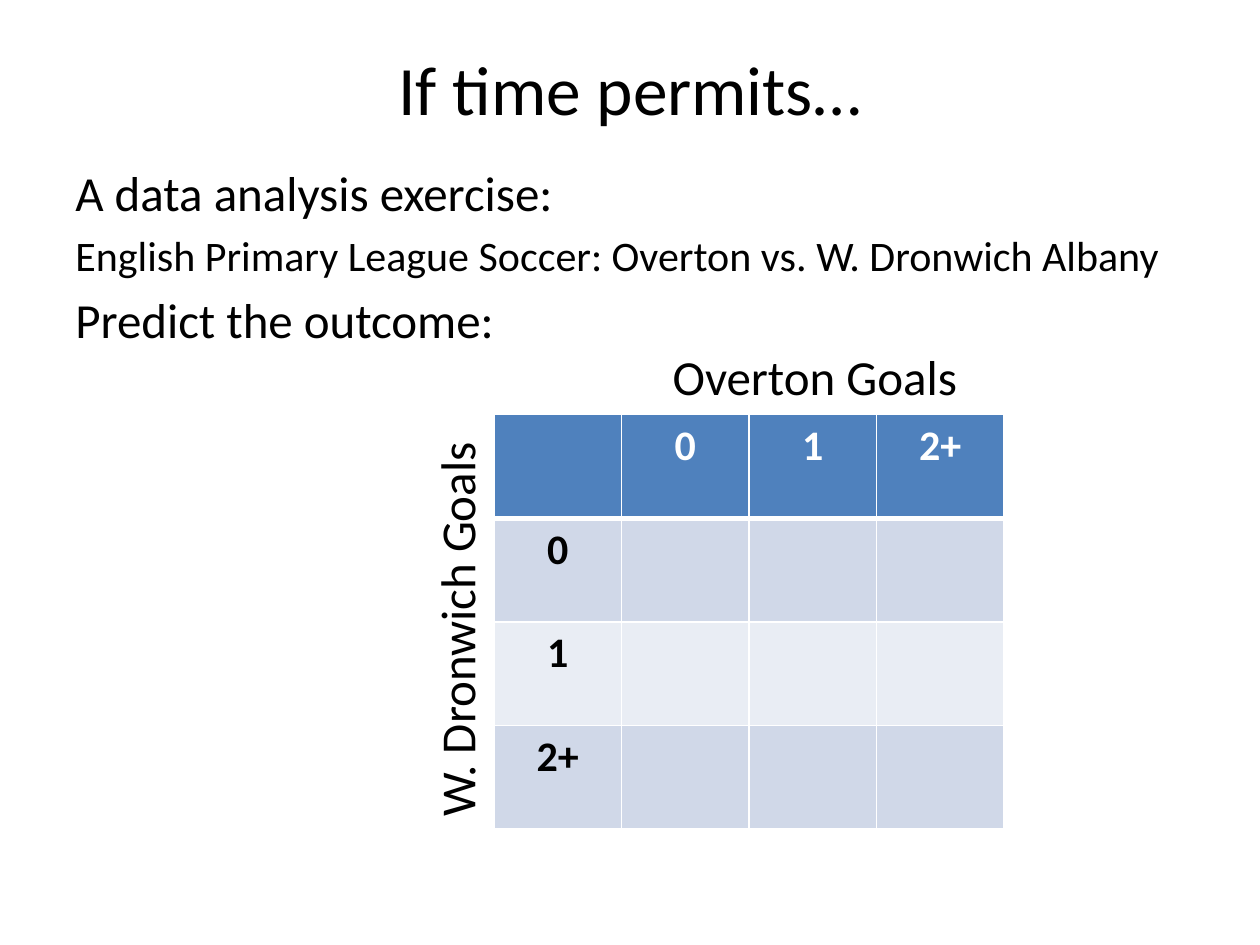
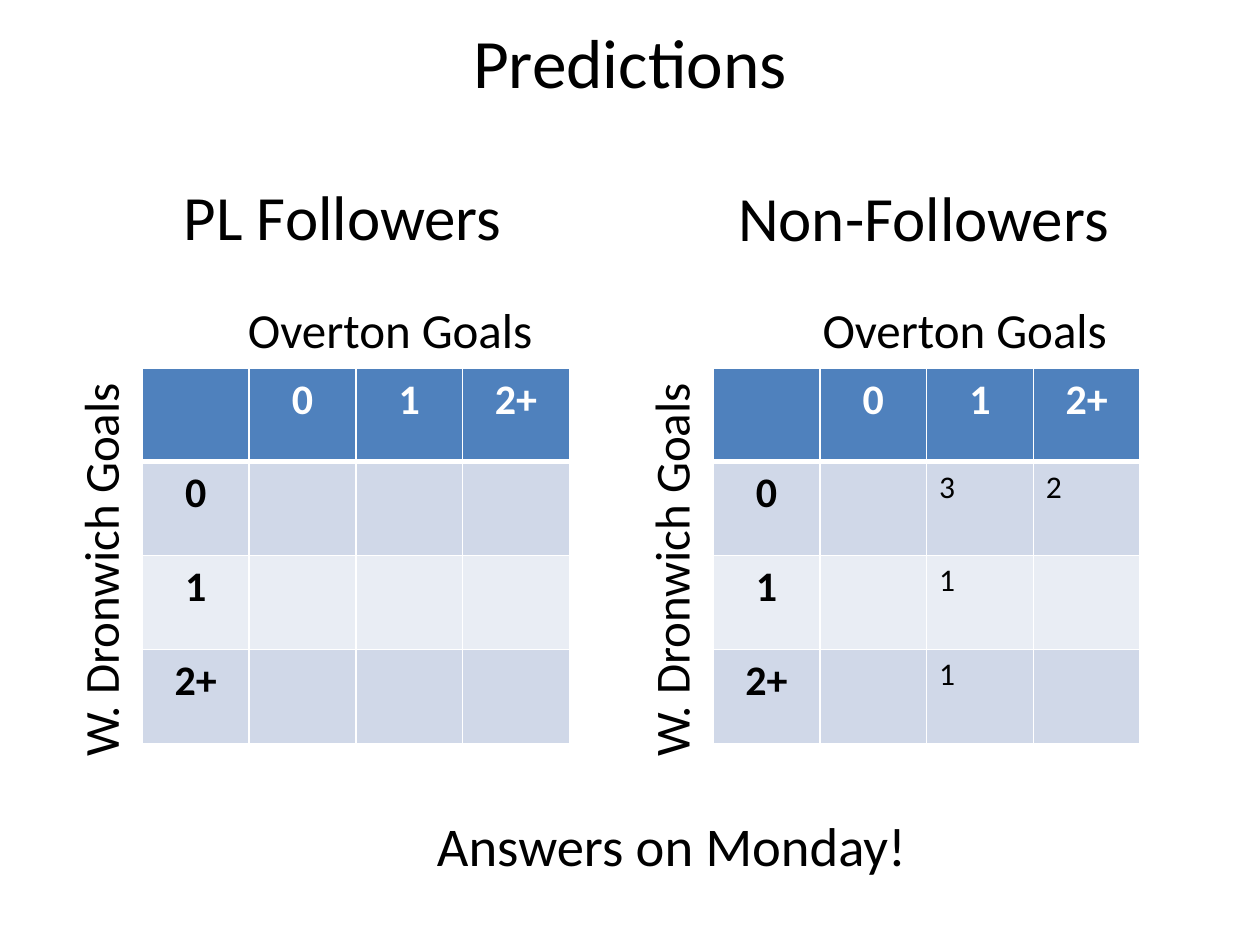
"""Builds two slides on predicting a football score."""
from lxml.etree import SubElement
from pptx import Presentation
from pptx.dml.color import RGBColor
from pptx.enum.text import MSO_ANCHOR as ANCHOR, PP_ALIGN as ALIGN
from pptx.oxml.ns import qn
from pptx.util import Inches, Pt

BLACK = RGBColor(0x00, 0x00, 0x00)
WHITE = RGBColor(0xFF, 0xFF, 0xFF)
HEADER = RGBColor(0x4F, 0x81, 0xBD)
BANDS = [RGBColor(0xD0, 0xD8, 0xE8), RGBColor(0xE9, 0xED, 0xF4)]
GOALS = ["0", "1", "2+"]


def write(p, text, size=28, color=BLACK, bold=False, align=ALIGN.LEFT, before=0):
    p.alignment = align
    p.space_before = Pt(before)
    r = p.add_run()
    r.text = text
    r.font.name = "Calibri"
    r.font.size = Pt(size)
    r.font.bold = bold
    r.font.color.rgb = color


class Deck:
    """Holds the presentation style and the current slide."""

    def __init__(self):
        self.prs = Presentation()
        self.prs.slide_width, self.prs.slide_height = Inches(10), Inches(7.5)

    def slide(self):
        self.s = self.prs.slides.add_slide(self.prs.slide_layouts[6])

    def box(self, x, y, w, h, wrap=False):
        sp = self.s.shapes.add_textbox(Inches(x), Inches(y), Inches(w), Inches(h))
        sp.text_frame.word_wrap = wrap
        return sp

    def heading(self, text, x, y, h, size=39.6):
        tf = self.box(x, y, 9, h, wrap=True).text_frame
        tf.vertical_anchor = ANCHOR.MIDDLE
        write(tf.paragraphs[0], text, size=size, align=ALIGN.CENTER)

    def body(self, lines, x, y, w, h):
        tf = self.box(x, y, w, h, wrap=True).text_frame
        for i, (text, size) in enumerate(lines):
            p = tf.add_paragraph() if i else tf.paragraphs[0]
            write(p, text, size=size, before=0.2 * size if i else 0)

    def label(self, text, x, y, w, h=0.57, size=28, rotation=0):
        sp = self.box(x, y, w, h)
        sp.rotation = rotation
        write(sp.text_frame.paragraphs[0], text, size=size)

    def borders(self, cell, row):
        tc_pr = cell._tc.get_or_add_tcPr()
        thick = {0: "lnB", 1: "lnT"}.get(row)
        for side in ("lnL", "lnR", "lnT", "lnB"):
            width = Pt(3 if side == thick else 1)
            ln = SubElement(tc_pr, qn(f"a:{side}"), w=str(width))
            fill = SubElement(ln, qn("a:solidFill"))
            SubElement(fill, qn("a:srgbClr"), val=str(WHITE))

    def score_table(self, x, y, w, h, counts=None):
        n = len(GOALS) + 1
        table = self.s.shapes.add_table(
            n, n, Inches(x), Inches(y), Inches(w), Inches(h)).table
        for row in range(n):
            for col in range(n):
                cell = table.cell(row, col)
                self.borders(cell, row)
                cell.fill.solid()
                cell.fill.fore_color.rgb = BANDS[(row - 1) % 2] if row else HEADER
                p = cell.text_frame.paragraphs[0]
                if (row == 0) != (col == 0):
                    write(p, GOALS[max(row, col) - 1], size=24, bold=True,
                          color=BLACK if row else WHITE, align=ALIGN.CENTER)
                elif counts and (row, col) in counts:
                    write(p, counts[row, col], size=18)

    def away_label(self, x, y):
        self.label("W. Dronwich Goals", x, y, 3.28, rotation=270)

    def home_label(self, x, y):
        self.label("Overton Goals", x, y, 2.6)


def main():
    d = Deck()

    d.slide()
    d.heading("If time permits…", 0.5, 0.3, 0.79)
    d.body([("A data analysis exercise:", 28),
            ("English Primary League Soccer: Overton vs. W. Dronwich Albany", 24),
            ("Predict the outcome:", 28)], 0.5, 1.24, 9, 5.46)
    d.away_label(1.98, 4.65)
    d.score_table(3.92, 3.29, 4.05, 3.29)
    d.home_label(5.24, 2.7)

    d.slide()
    d.heading("Predictions", 0.5, 0.12, 0.72)
    counts = {(1, 2): "3", (1, 3): "2", (2, 2): "1", (3, 2): "1"}
    groups = [("PL Followers", 1.36, 1.36, 2.75, 1.13, 1.87, None),
              ("Non-Followers", 5.76, 1.37, 3.29, 5.66, 6.43, counts)]
    for name, x, y, w, table_x, home_x, values in groups:
        d.label(name, x, y, w, h=0.71, size=36)
        d.away_label(table_x - 1.98, 4.18)
        d.home_label(home_x, 2.33)
        d.score_table(table_x, 2.92, 3.39, 2.98, values)
    d.heading("Answers on Monday!", 0.83, 6.34, 0.72, size=31.2)

    d.prs.save("out.pptx")


if __name__ == "__main__":
    main()
